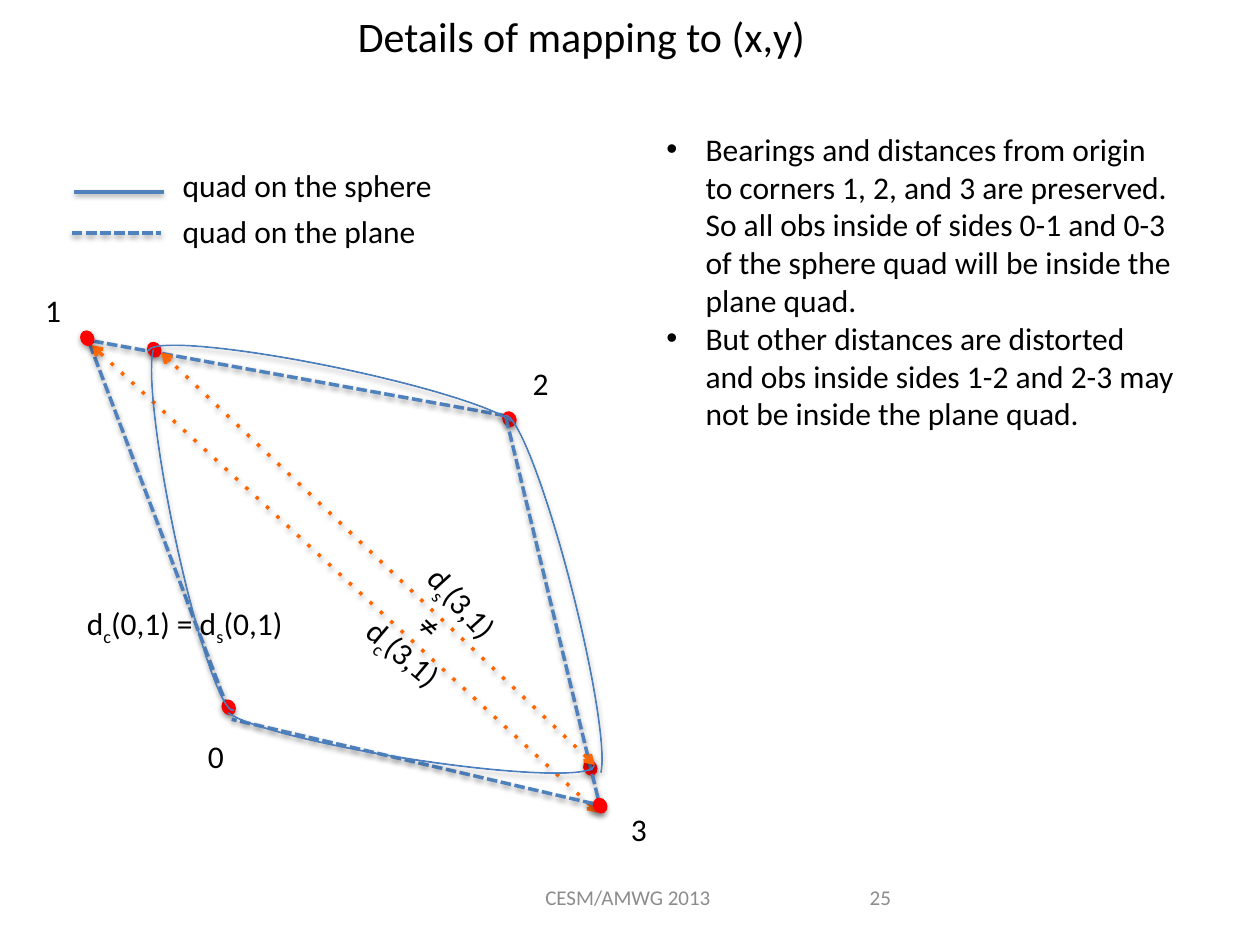
from lxml import etree
from pptx import Presentation
from pptx.dml.color import RGBColor
from pptx.enum.shapes import MSO_CONNECTOR, MSO_SHAPE
from pptx.enum.text import MSO_ANCHOR, MSO_AUTO_SIZE, PP_ALIGN
from pptx.oxml.ns import qn
from pptx.util import Cm, Pt

STRAIGHT = MSO_CONNECTOR.STRAIGHT
ELLIPSE, BLOCK_ARC = MSO_SHAPE.OVAL, MSO_SHAPE.BLOCK_ARC
TOP, MIDDLE = MSO_ANCHOR.TOP, MSO_ANCHOR.MIDDLE
LEFT, CENTER, RIGHT = PP_ALIGN.LEFT, PP_ALIGN.CENTER, PP_ALIGN.RIGHT
NO_AUTOFIT = MSO_AUTO_SIZE.NONE

FONT = "Calibri"
BLACK, GREY, RED = "000000", "8C8C8C", "FF0000"
BLUE, ORANGE, ARC_BLUE = "4F81BD", "FF6600", "4B7EBC"
ARC_GRADIENT = ("3F80CE", "A4C4FF")


def rgb(color):
    return RGBColor.from_string(color)


def format_runs(frame, size, color=BLACK, align=LEFT):
    for paragraph in frame.paragraphs:
        paragraph.alignment = align
        for run in paragraph.runs:
            run.font.name, run.font.size = FONT, Pt(size)
            run.font.color.rgb = rgb(color)


def add_shadow(part, distance, opacity):
    """Cast a soft black shadow straight down; distance in EMU."""
    effects = etree.SubElement(part._element.spPr, qn("a:effectLst"))
    shadow = etree.SubElement(effects, qn("a:outerShdw"), blurRad="40000",
                              dist=str(distance), dir="5400000", rotWithShape="0")
    black = etree.SubElement(shadow, qn("a:srgbClr"), val=BLACK)
    etree.SubElement(black, qn("a:alpha"), val=str(opacity * 1000))


def add_line(slide, start, end, color=BLUE, dash="sysDash", arrows=False):
    line = slide.shapes.add_connector(STRAIGHT, *map(Cm, start + end))
    line.line.color.rgb = rgb(color)
    line.line.width = Pt(2)
    outline = line.line._get_or_add_ln()
    etree.SubElement(outline, qn("a:prstDash"), val=dash)
    if arrows:
        for tip in ("a:headEnd", "a:tailEnd"):
            etree.SubElement(outline, qn(tip), type="arrow")
    add_shadow(line, 20000, 38)


def add_label(slide, pieces, left, top, width, height=1.02, rotation=0, size=18,
              wrap=False):
    """Write pieces in turn as normal text and subscript."""
    label = slide.shapes.add_textbox(Cm(left), Cm(top), Cm(width), Cm(height))
    label.rotation = rotation
    label.text_frame.word_wrap = wrap
    for index, piece in enumerate(pieces):
        run = label.text_frame.paragraphs[0].add_run()
        run.text = piece
        if index % 2:
            run.font._element.set("baseline", "-25000")
    format_runs(label.text_frame, size)


def add_corner(slide, x, y):
    width, height = 0.33, 0.28
    dot = slide.shapes.add_shape(ELLIPSE, Cm(x - width / 2), Cm(y - height / 2),
                                 Cm(width), Cm(height))
    dot.rotation = 60.9
    dot.fill.solid()
    dot.fill.fore_color.rgb = rgb(RED)
    dot.line.fill.background()
    add_shadow(dot, 23000, 35)


def add_sphere_side(slide, x, y, rotation):
    width, height = 7.55, 0.89
    arc = slide.shapes.add_shape(BLOCK_ARC, Cm(x - width / 2), Cm(y - height / 2),
                                 Cm(width), Cm(height))
    arc.rotation = rotation
    for index, value in enumerate((108, 215.06, 0.007)):
        arc.adjustments[index] = value
    arc.fill.gradient()
    arc.fill.gradient_angle = 90
    for stop, color in zip(arc.fill.gradient_stops, ARC_GRADIENT):
        stop.color.rgb = rgb(color)
    arc.line.color.rgb = rgb(ARC_BLUE)
    arc.line.width = Pt(0.75)
    add_shadow(arc, 23000, 35)


def add_quad(slide, left, top):
    """Draw the plane quad, the sphere quad and their labels."""
    def at(x, y):
        return left + x, top + y

    diagonal = {"color": ORANGE, "dash": "dot", "arrows": True}
    add_line(slide, at(3.94, 8.56), at(1.12, 1.12))
    add_line(slide, at(9.53, 2.64), at(1.24, 1.14))
    add_line(slide, at(11.4, 10.64), at(1.19, 1.22), **diagonal)
    for x, y in ((1.1, 1.08), (9.61, 2.71), (2.45, 1.31), (3.95, 8.52),
                 (11.24, 9.74)):
        add_corner(slide, *at(x, y))
    add_line(slide, at(11.3, 10.46), at(4.01, 8.76))
    add_line(slide, at(11.46, 10.62), at(9.53, 2.64))
    add_corner(slide, *at(11.44, 10.5))
    add_line(slide, at(11.33, 9.68), at(2.59, 1.37), **diagonal)

    add_label(slide, ("d", "s", "(3,1)"), *at(7.57, 5.92), 2.21, rotation=47.7)
    add_label(slide, ("d", "c", "(3,1)"), *at(6.38, 6.93), 2.23, rotation=40.1)
    for x, y, rotation in ((3.28, 4.89, 258.2), (6.02, 2.1, 11.7),
                           (7.59, 9.11, 189), (10.45, 6.29, 75.7)):
        add_sphere_side(slide, *at(x, y), rotation)
    add_label(slide, ("d", "c", "(0,1) = d", "s", "(0,1)"), *at(0.84, 6.32), 4.55)
    corner_places = ((3.28, 8.99), (0, 0), (9.83, 1.47), (11.81, 10.46))
    for number, place in enumerate(corner_places):
        add_label(slide, (str(number),), *at(*place), 0.84)
    add_label(slide, ("≠",), *at(7.59, 6.32), 0.86, 1.12, rotation=43.9, size=20)


def add_legend(slide, left, top):
    add_line(slide, (left + 0.05, top + 0.64), (left + 1.85, top + 0.64), dash="solid")
    add_line(slide, (left, top + 1.47), (left + 1.8, top + 1.47))
    add_label(slide, ("quad on the sphere",), left + 1.98, top, 6.05, wrap=True)
    add_label(slide, ("quad on the plane",), left + 1.98, top + 0.91, 5.26)


def place(holder, left, top, width, height, anchor):
    holder.left, holder.top = Cm(left), Cm(top)
    holder.width, holder.height = Cm(width), Cm(height)
    holder.text_frame.auto_size = NO_AUTOFIT
    holder.text_frame.vertical_anchor = anchor


def add_title(slide, left, top, width, height):
    title = slide.shapes.title
    place(title, left, top, width, height, TOP)
    title.text_frame.word_wrap = False
    title.text_frame.text = "Details of mapping to (x,y)"
    format_runs(title.text_frame, 24)


def add_remarks(slide, left, top, width, height):
    remarks = slide.placeholders[1]
    place(remarks, left, top, width, height, TOP)
    remarks.text_frame.text = (
        "Bearings and distances from origin to corners 1, 2, and 3 are preserved. "
        "So all obs inside of sides 0-1 and 0-3 of the sphere quad will be inside "
        "the plane quad.\n"
        "But other distances are distorted and obs inside sides 1-2 and 2-3 may "
        "not be inside the plane quad.")
    format_runs(remarks.text_frame, 18)
    for paragraph in remarks.text_frame.paragraphs:
        paragraph.space_before = Pt(0)
        properties = paragraph._p.get_or_add_pPr()
        properties.set("marL", str(Cm(0.79)))
        properties.set("indent", str(-Cm(0.79)))
        etree.SubElement(properties, qn("a:buFont"), typeface="Arial")
        etree.SubElement(properties, qn("a:buChar"), char="•")


def add_footer(slide, left, top):
    for text, offset, width, align in (("CESM/AMWG 2013", 0, 4.9, CENTER),
                                       ("25", 6.78, 1.22, RIGHT)):
        footer = slide.shapes.add_textbox(Cm(left + offset), Cm(top), Cm(width), Cm(1.02))
        footer.text_frame.word_wrap = True
        footer.text_frame.vertical_anchor = MIDDLE
        footer.text_frame.text = text
        format_runs(footer.text_frame, 12, GREY, align)


def main():
    deck = Presentation()
    deck.slide_width, deck.slide_height = Cm(25.4), Cm(19.05)
    slide = deck.slides.add_slide(deck.slide_layouts[1])
    add_quad(slide, 0.66, 5.74)
    add_title(slide, 6.96, 0.08, 9.63, 1.27)
    add_remarks(slide, 13.18, 2.49, 10.82, 6.4)
    add_legend(slide, 1.45, 3.23)
    add_footer(slide, 10.21, 17.58)
    deck.save("out.pptx")


if __name__ == "__main__":
    main()
